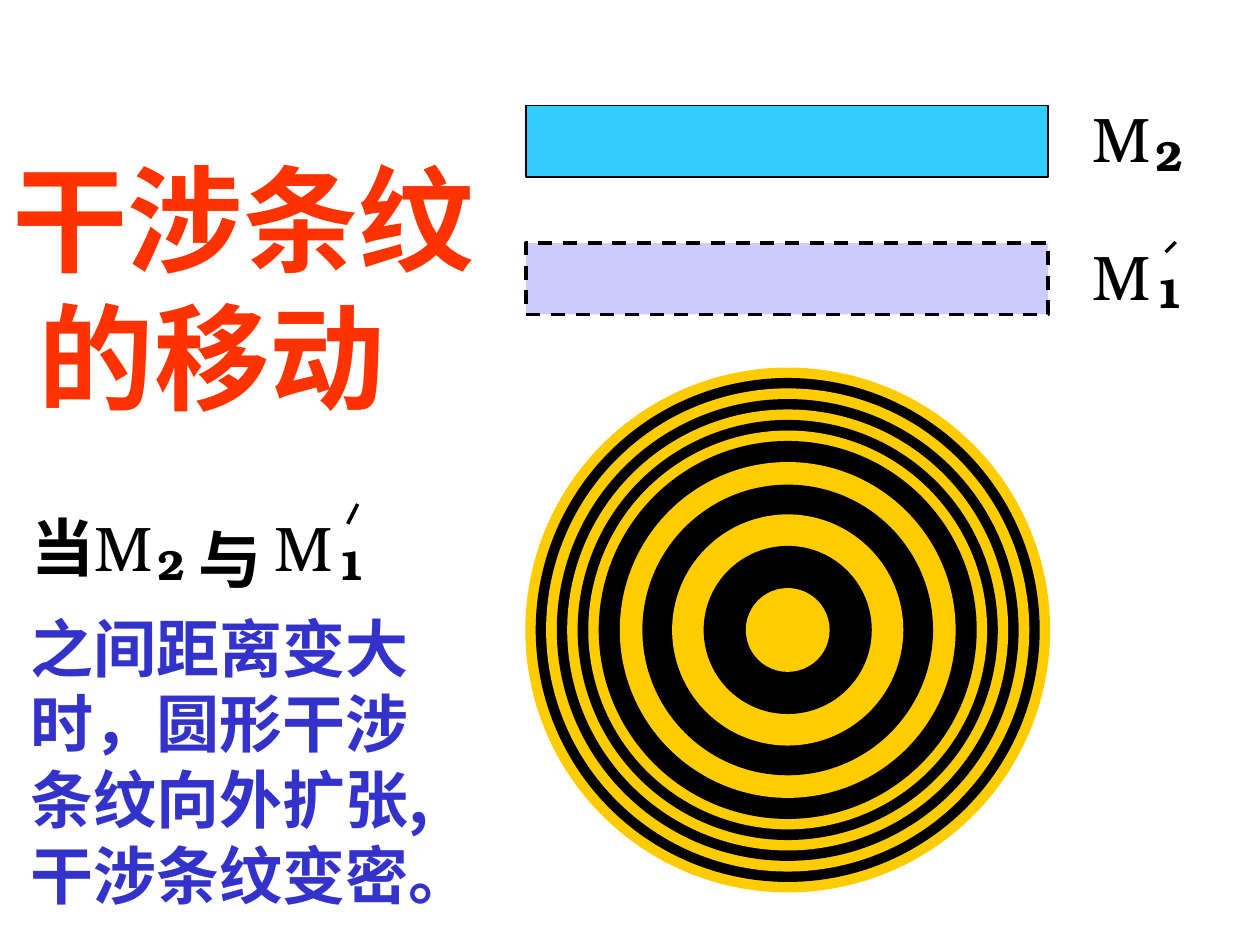
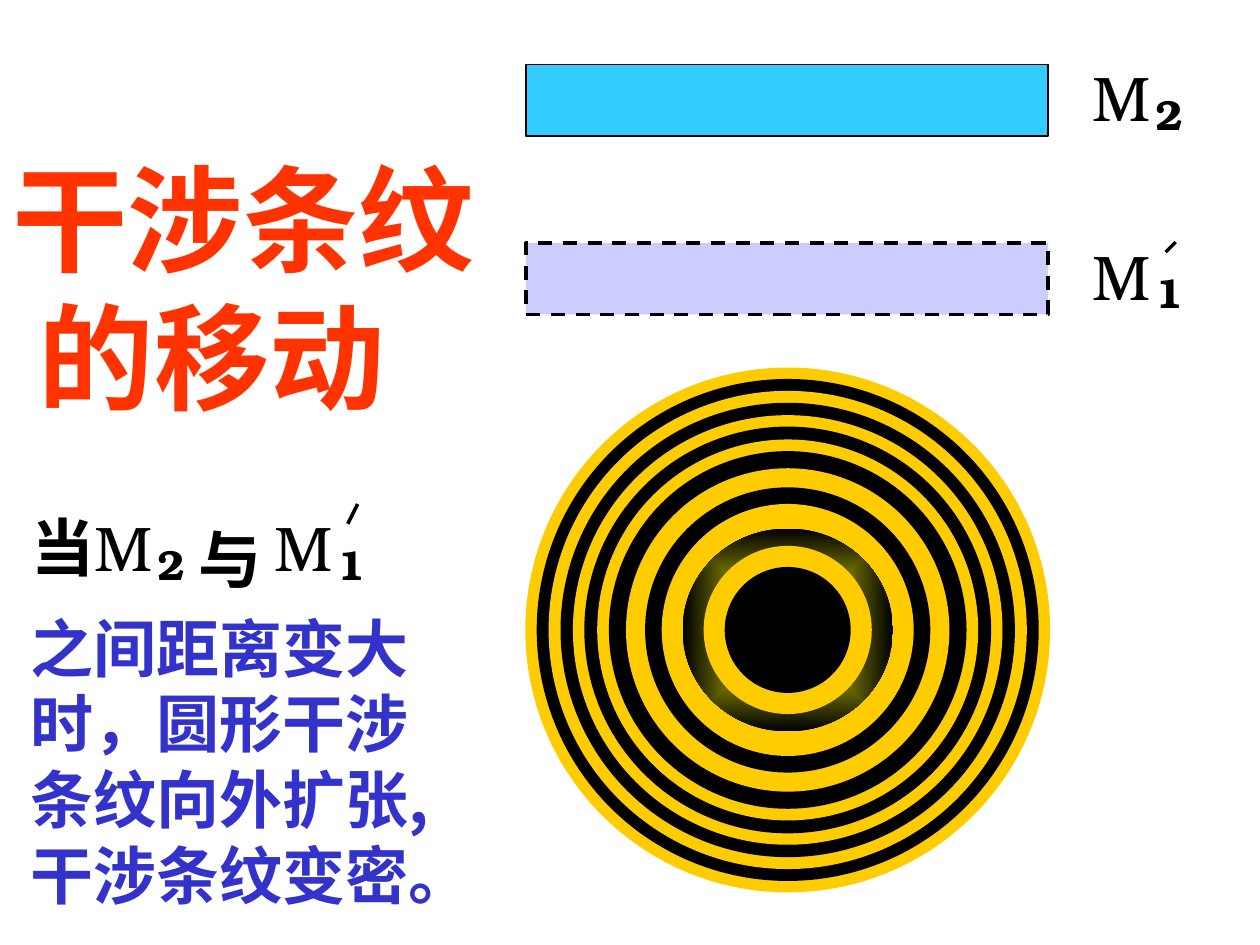
import pptx
import pptx.dml.color
import pptx.enum.dml
import pptx.enum.shapes
import pptx.enum.text
import pptx.oxml.ns
import pptx.util
from lxml import etree
from pptx.util import Cm

SANS, SERIF = "Noto Sans CJK SC", "TeX Gyre Bonum"
GOLD, BLACK, RED, BLUE = "FFCC00", "000000", "FF3300", "3333CC"
SKY, LILAC, YELLOW = "33CCFF", "CCCCFF", "FFFF00"

TITLE = ["干涉条纹", " 的移动"]
BODY = ["之间距离变大", "时，圆形干涉", "条纹向外扩张,", "干涉条纹变密。"]
WORDS = [("当", 0.38, 10.13), ("与", 3.76, 10.36)]

# Ring diameters run from the outside in, gold and black in turn.
SLIDES = [
    {"top": 2.13, "glow": None,
     "rings": [10.58, 10.16, 9.74, 9.31, 8.89, 8.47, 8.04, 7.62,
               6.77, 5.86, 4.66, 3.39, 1.69]},
    {"top": 1.3, "glow": 11,
     "rings": [10.58, 10.12, 9.64, 9.16, 8.66, 8.2, 7.68, 7.21,
               6.52, 5.75, 5.08, 4.24, 3.39, 2.54]},
]
MID_X, MID_Y = 15.88, 12.7
GLOW_TALL = 4.09
BAR_X, BAR_WIDE, BAR_TALL = 10.6, 10.53, 1.44
LOW_TOP = 4.9
MARK_X, MARK_UP = 21.77, 0.25


def tint(code):
    return pptx.dml.color.RGBColor.from_string(code)


def put_text(box, lines, size, color=BLACK, font=SERIF, bold=False, pitch=None):
    """Fill a box with lines; a pitch fixes the line height in ems."""
    frame = box.text_frame
    frame.word_wrap = False
    frame.auto_size = pptx.enum.text.MSO_AUTO_SIZE.NONE
    frame.vertical_anchor = pptx.enum.text.MSO_ANCHOR.TOP
    for side in ("left", "right"):
        setattr(frame, "margin_" + side, Cm(0.25))
    frame.margin_top = frame.margin_bottom = Cm(0.13)
    if pitch:
        frame.margin_top += pptx.util.Pt(0.09 * size)
    for i, line in enumerate(lines):
        para = frame.paragraphs[0] if i == 0 else frame.add_paragraph()
        para.alignment = pptx.enum.text.PP_ALIGN.LEFT
        para.space_before = pptx.util.Pt(0)
        if pitch:
            para.line_spacing = pptx.util.Pt(pitch * size)
        run = para.add_run()
        run.text = line
        run.font.size = pptx.util.Pt(size)
        run.font.bold = bold
        run.font.color.rgb = tint(color)
        run.font.name = font
        props = run.font._element if hasattr(run.font, "_element") else run._r.get_or_add_rPr()
        etree.SubElement(props, pptx.oxml.ns.qn("a:ea"), typeface=font)


def add_text(slide, lines, x, y, wide, tall, **style):
    box = slide.shapes.add_textbox(Cm(x), Cm(y), Cm(wide), Cm(tall))
    put_text(box, lines, **style)


def add_shape(slide, kind, x, y, wide, tall, color):
    shape = slide.shapes.add_shape(
        getattr(pptx.enum.shapes.MSO_SHAPE, kind), Cm(x), Cm(y), Cm(wide), Cm(tall))
    shape.shadow.inherit = False
    shape.fill.solid()
    shape.fill.fore_color.rgb = tint(color)
    shape.line.fill.background()
    return shape


def add_glow(shape):
    """Shade a shape from yellow at its middle to black at its rim."""
    qn = pptx.oxml.ns.qn
    shape.fill.gradient()
    for stop, color, place in zip(shape.fill.gradient_stops, (YELLOW, BLACK), (0, 1)):
        stop.color.rgb = tint(color)
        stop.position = place
    grad = shape._element.spPr.find(qn("a:gradFill"))
    grad.remove(grad.find(qn("a:lin")))
    shade = etree.SubElement(grad, qn("a:path"), {"path": "rect"})
    etree.SubElement(shade, qn("a:fillToRect"), dict.fromkeys("ltrb", "50000"))


def add_rings(slide, rings, glow):
    for i, wide in enumerate(rings):
        tall = GLOW_TALL if i == glow else wide
        ring = add_shape(slide, "OVAL", MID_X - wide / 2, MID_Y - tall / 2,
                         wide, tall, (GOLD, BLACK)[i % 2])
        if i == glow:
            add_glow(ring)


def add_bar(slide, y, color, weight, dash=None):
    bar = add_shape(slide, "RECTANGLE", BAR_X, y, BAR_WIDE, BAR_TALL, color)
    bar.line.color.rgb = tint(BLACK)
    bar.line.width = pptx.util.Pt(weight)
    bar.line.dash_style = dash


def add_mark(slide, x, y, sub, prime=None):
    """Write M with a subscript; prime is the drop to the top of its tick."""
    add_text(slide, ["M"], x, y, 1.68, 1.78, size=36)
    add_text(slide, [sub], x + 1.27, y + 0.6, 1.07, 1.27, size=24, bold=True)
    if prime is not None:
        tick = slide.shapes.add_connector(
            pptx.enum.shapes.MSO_CONNECTOR.STRAIGHT,
            Cm(x + 1.93), Cm(y + prime), Cm(x + 1.73), Cm(y + 0.43))
        tick.line.color.rgb = tint(BLACK)
        tick.line.width = pptx.util.Pt(2)
        etree.SubElement(tick._element.spPr, pptx.oxml.ns.qn("a:effectLst"))


def add_page(deck, top, rings, glow):
    slide = deck.slides.add_slide(deck.slide_layouts[5])
    title = slide.shapes.title
    title.left, title.top, title.width, title.height = Cm(0), Cm(2.64), Cm(9.83), Cm(5.84)
    put_text(title, TITLE, size=66, color=RED, font=SANS, bold=True, pitch=1.2)

    add_rings(slide, rings, glow)
    add_bar(slide, top, SKY, 1)
    add_bar(slide, LOW_TOP, LILAC, 2, pptx.enum.dml.MSO_LINE.DASH)
    add_mark(slide, MARK_X, top - MARK_UP, "2")
    add_mark(slide, MARK_X, LOW_TOP - MARK_UP, "1", prime=0.23)

    for word, x, y in WORDS:
        add_text(slide, [word], x, y, 1.78, 1.78, size=36, bold=True)
    add_mark(slide, 1.65, 10.13, "2")
    add_mark(slide, 5.28, 10.13, "1", prime=0.03)
    add_text(slide, BODY, 0.36, 12.04, 9.4, 6.35,
             size=36, color=BLUE, font=SANS, bold=True, pitch=1.2)


def main():
    deck = pptx.Presentation()
    deck.slide_width, deck.slide_height = Cm(25.4), Cm(19.05)
    for page in SLIDES:
        add_page(deck, **page)
    deck.save("out.pptx")


if __name__ == "__main__":
    main()
